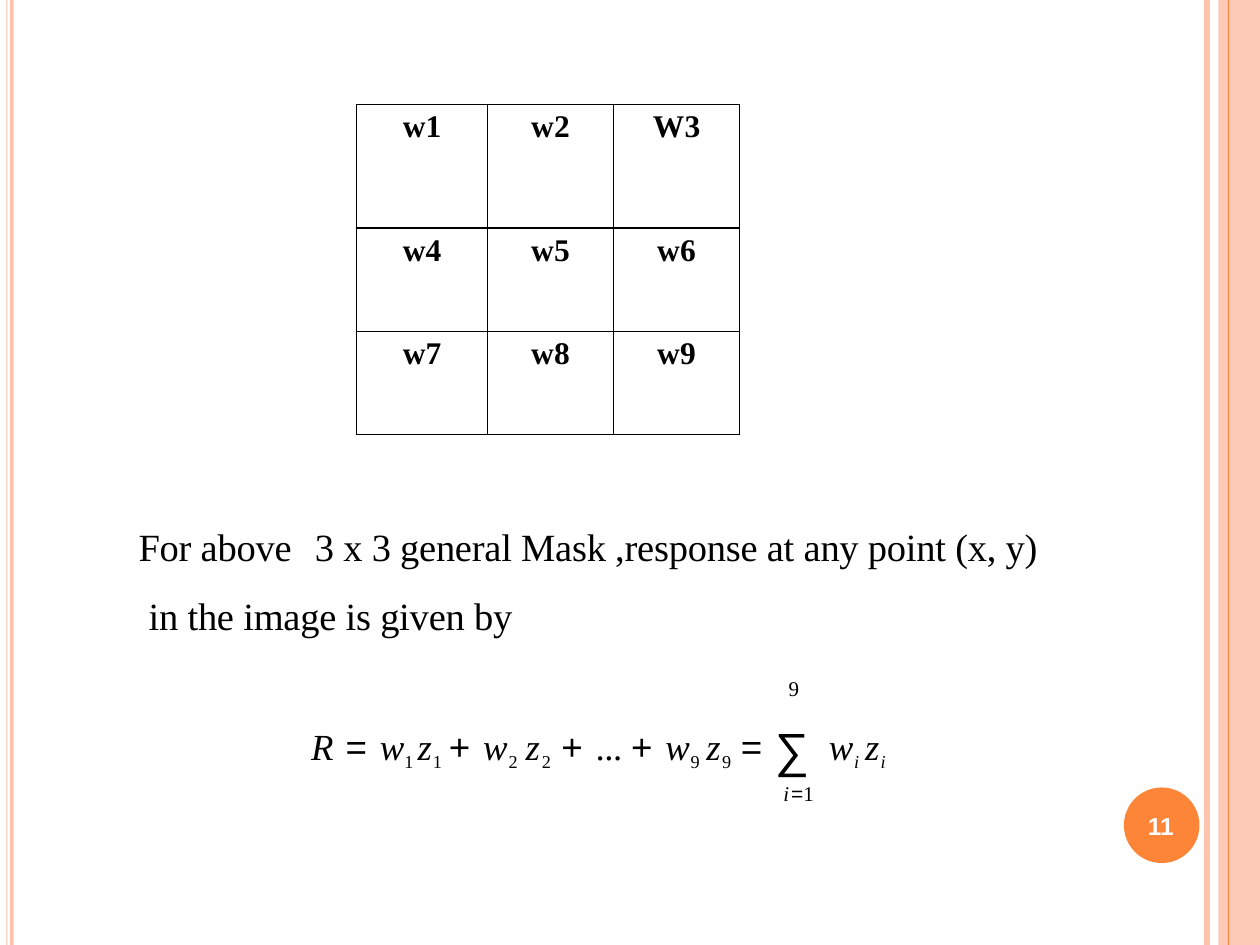
from pptx import Presentation
from pptx.dml.color import RGBColor
from pptx.enum.shapes import MSO_CONNECTOR, MSO_SHAPE
from pptx.enum.text import MSO_AUTO_SIZE, PP_ALIGN
from pptx.oxml.ns import qn
from pptx.util import Inches, Pt
from lxml import etree

RECTANGLE, OVAL = MSO_SHAPE.RECTANGLE, MSO_SHAPE.OVAL
STRAIGHT = MSO_CONNECTOR.STRAIGHT
CENTER, RIGHT = PP_ALIGN.CENTER, PP_ALIGN.RIGHT
GROW = MSO_AUTO_SIZE.SHAPE_TO_FIT_TEXT

SERIF, SANS = "Times New Roman", "Arial"
BLACK, WHITE, PEACH, ORANGE = "000000", "FFFFFF", "FDC3AD", "FD8537"

VARIABLE = dict(size=21, italic=True)
PLAIN = dict(size=21)
OPERATOR = dict(size=21, font=SANS)
SUBSCRIPT = dict(size=18, baseline=-25)
INDEX = dict(SUBSCRIPT, italic=True)
SUM = dict(size=47.2, font=SANS, baseline=-9)
LIMIT = dict(size=12)

# text, style, letter spacing in points
RESPONSE = [
    ("R ", VARIABLE, 0.8), ("= ", OPERATOR, 0.7),
    ("w", VARIABLE, -0.1), ("1 ", SUBSCRIPT, -0.2),
    ("z", VARIABLE, 0.5), ("1 ", SUBSCRIPT, 0.7), ("+ ", OPERATOR, 0.7),
    ("w", VARIABLE, 0.6), ("2 ", SUBSCRIPT, 0.9),
    ("z", VARIABLE, 1.1), ("2 ", SUBSCRIPT, 1.7), ("+ ", OPERATOR, 0.7),
    ("... ", PLAIN, -0.2), ("+ ", OPERATOR, 0.7),
    ("w", VARIABLE, 0.4), ("9 ", SUBSCRIPT, 0.6),
    ("z", VARIABLE, 0.9), ("9 ", SUBSCRIPT, 1.4), ("= ", OPERATOR, 0.7),
    ("∑ ", SUM, 1.9),
    ("w", VARIABLE, 0.3), ("i ", INDEX, 0.4),
    ("z", VARIABLE, 0.8), ("i", INDEX, 1.2),
]
LOWER_LIMIT = [
    ("i", dict(LIMIT, italic=True), 1.2),
    ("=", dict(LIMIT, font=SANS), -0.2),
    ("1", LIMIT, 0.5),
]
MASK = [["w1", "w2", "W3"], ["w4", "w5", "w6"], ["w7", "w8", "w9"]]


def rgb(color):
    return RGBColor.from_string(color)


def add_span(para, text, size=18, font=SERIF, color=BLACK, bold=False,
             italic=False, spacing=0, baseline=0):
    """Add a run; spacing is in points and baseline in percent."""
    span = para.add_run()
    span.text = text
    span.font.size, span.font.name = Pt(size), font
    span.font.bold, span.font.italic = bold, italic
    span.font.color.rgb = rgb(color)
    properties = span.font._element
    properties.set("spc", str(round(spacing * 100)))
    if baseline:
        properties.set("baseline", str(baseline * 1000))


def format_para(para, align=None, before=0, line=None, left=0, right=0, tab=None):
    para.alignment, para.space_before, para.line_spacing = align, Pt(before), line
    properties = para._p.get_or_add_pPr()
    properties.set("marL", str(Inches(left)))
    properties.set("marR", str(Inches(right)))
    if tab:
        tabs = etree.SubElement(properties, qn("a:tabLst"))
        etree.SubElement(tabs, qn("a:tab"), pos=str(Inches(tab)), algn="l")


class SlideBuilder:
    def __init__(self, slide):
        self.slide = slide

    def shape(self, kind, left, top, width, height, color, opacity=100):
        shape = self.slide.shapes.add_shape(
            kind, Inches(left), Inches(top), Inches(width), Inches(height))
        shape.shadow.inherit = False
        shape.line.fill.background()
        shape.fill.solid()
        shape.fill.fore_color.rgb = rgb(color)
        if opacity < 100:
            tint = shape._element.spPr.find(".//" + qn("a:srgbClr"))
            etree.SubElement(tint, qn("a:alpha"), val=str(opacity * 1000))

    def vertical_line(self, x, color, weight):
        line = self.slide.shapes.add_connector(
            STRAIGHT, Inches(x), 0, Inches(x), Inches(7.5))
        line.line.color.rgb, line.line.width = rgb(color), Pt(weight)
        etree.SubElement(line._element.spPr, qn("a:effectLst"))

    def text_frame(self, left, top, width, height, inset=0):
        box = self.slide.shapes.add_textbox(
            Inches(left), Inches(top), Inches(width), Inches(height))
        frame = box.text_frame
        frame.word_wrap, frame.auto_size = True, GROW
        frame.margin_left = frame.margin_right = frame.margin_bottom = 0
        frame.margin_top = Inches(inset)
        return frame

    def table(self, left, top, widths, heights, values):
        table = self.slide.shapes.add_table(
            len(heights), len(widths), Inches(left), Inches(top),
            Inches(sum(widths)), Inches(sum(heights))).table
        table.first_row = table.horz_banding = False
        for column, width in zip(table.columns, widths):
            column.width = Inches(width)
        for row, height, texts in zip(table.rows, heights, values):
            row.height = Inches(height)
            for cell, text in zip(row.cells, texts):
                self.cell(cell, text)

    def cell(self, cell, text):
        cell.margin_left = cell.margin_right = cell.margin_bottom = 0
        cell.margin_top = Inches(0.04)
        properties = cell._tc.get_or_add_tcPr()
        for side in ("lnL", "lnR", "lnT", "lnB"):
            border = etree.SubElement(properties, qn("a:" + side), w=str(Pt(1)))
            fill = etree.SubElement(border, qn("a:solidFill"))
            etree.SubElement(fill, qn("a:srgbClr"), val=BLACK)
        cell.fill.background()
        para = cell.text_frame.paragraphs[0]
        format_para(para, align=CENTER, before=3)
        add_span(para, text, bold=True, spacing=0.1)


def main():
    deck = Presentation()
    deck.slide_width, deck.slide_height = Inches(10), Inches(7.5)
    page = SlideBuilder(deck.slides.add_slide(deck.slide_layouts[6]))

    page.vertical_line(9.58, PEACH, 3)
    page.shape(OVAL, 8.92, 6.25, 0.6, 0.6, ORANGE)
    page.shape(RECTANGLE, 0.05, 0, 0.01, 7.5, PEACH)
    page.shape(RECTANGLE, 0.08, 0, 0.03, 7.5, PEACH)
    page.shape(RECTANGLE, 9.67, 0, 0.33, 7.5, PEACH, opacity=87)
    page.vertical_line(9.75, ORANGE, 0.72)

    page.table(2.83, 0.83, [1.04, 1, 1], [0.98, 0.82, 0.82], MASK)

    number = page.text_frame(9.07, 6.44, 0.3, 0.25).paragraphs[0]
    format_para(number, left=0.04, line=Pt(16.5))
    add_span(number, "11", size=14, font=SANS, color=WHITE, bold=True)

    upper_limit = page.text_frame(6.25, 5.34, 0.12, 0.23, inset=0.02).paragraphs[0]
    format_para(upper_limit, left=0.01, before=1.2)
    add_span(upper_limit, "9", size=12, spacing=0.5)

    equation = page.text_frame(2.43, 5.31, 4.61, 0.83, inset=0.07)
    response, lower_limit = equation.paragraphs[0], equation.add_paragraph()
    format_para(response, left=0.04, before=4.8)
    format_para(lower_limit, align=RIGHT, right=0.58, before=1.8)
    for para, parts in ((response, RESPONSE), (lower_limit, LOWER_LIMIT)):
        for text, style, spacing in parts:
            add_span(para, text, spacing=spacing, **style)

    caption = page.text_frame(1.09, 3.96, 7.23, 1.13, inset=0.01)
    first, second = caption.paragraphs[0], caption.add_paragraph()
    format_para(first, left=0.01, before=1, line=1.5, tab=1.4)
    format_para(second, left=0.09, line=1.5)
    add_span(first, "For above\t3 x 3 general Mask ,response at any point (x, y)",
             size=22, spacing=-0.1)
    add_span(second, "in the image is given by", size=22, spacing=-0.1)

    deck.save("out.pptx")


if __name__ == "__main__":
    main()
